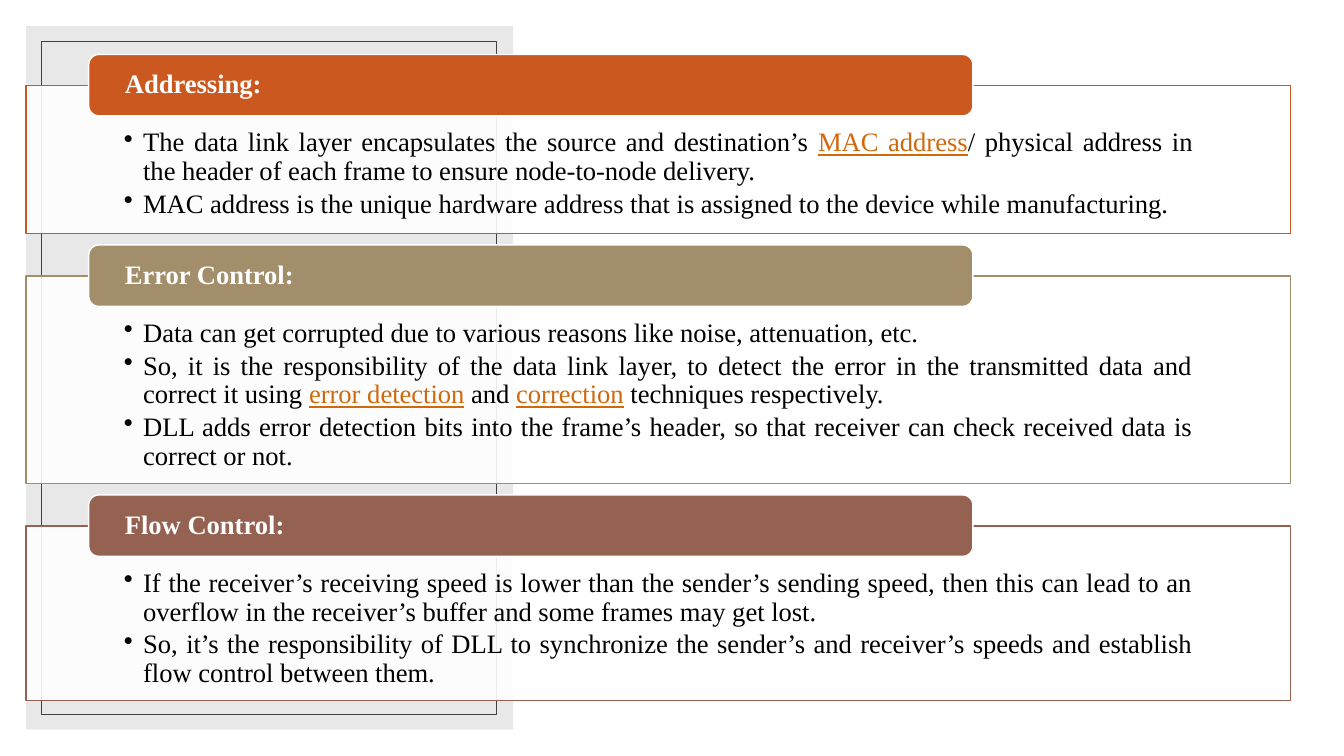
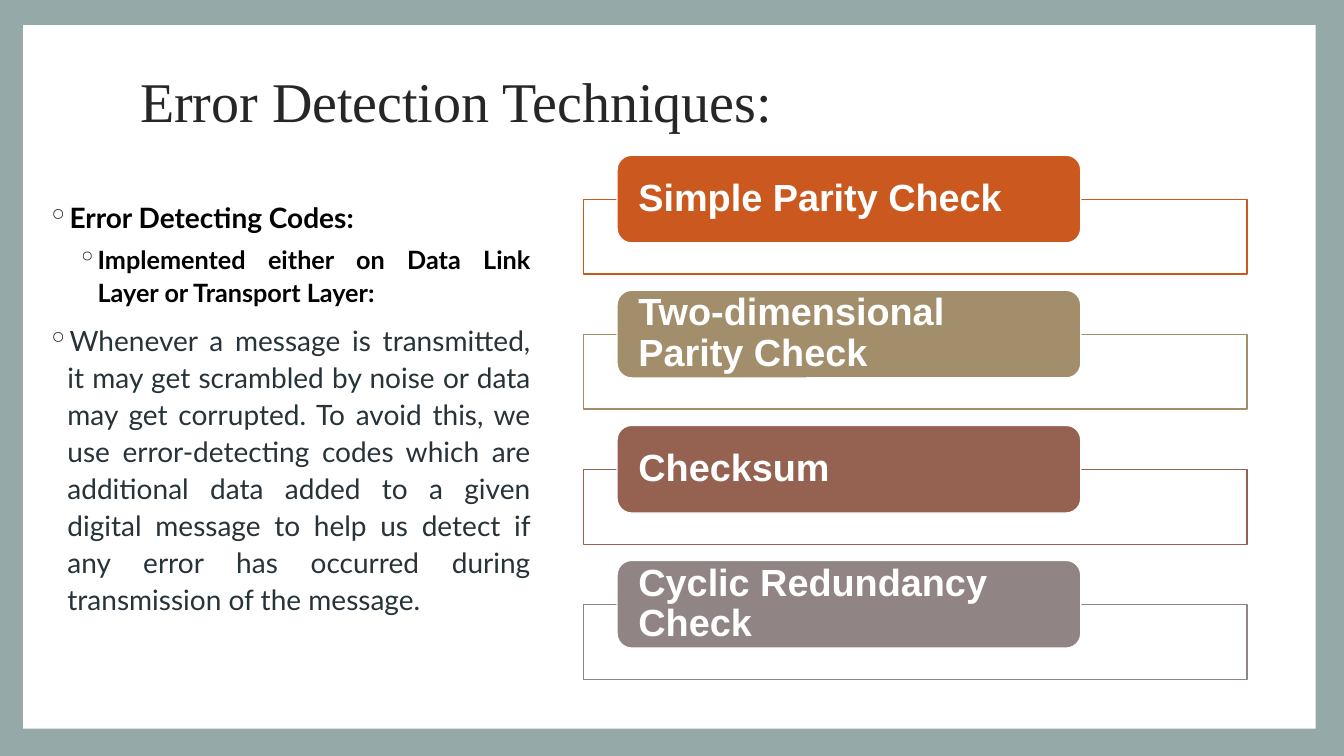
from lxml.etree import SubElement
from pptx import Presentation
from pptx.dml.color import RGBColor
from pptx.enum.shapes import MSO_SHAPE
from pptx.enum.text import MSO_ANCHOR, PP_ALIGN
from pptx.oxml.ns import qn
from pptx.util import Inches, Pt

HUES = {
    "white": "FFFFFF", "black": "000000", "sage": "96A9A9", "gray": "D9D9D9",
    "edge": "404040", "title": "262626", "slate": "273239", "link": "D0690C",
    "orange": "CB581F", "tan": "A28E6A", "brown": "956251", "mauve": "918485",
}
SERIF = {"name": "Times New Roman", "size": Pt(19)}
HEAD = {**SERIF, "bold": True}
LABEL = {"name": "Arial", "size": Pt(27), "bold": True}
TITLE = {"name": "Times New Roman", "size": Pt(40), "bold": False}
STRONG = {"name": "Lato", "size": Pt(20), "bold": True}
MINOR = {**STRONG, "size": Pt(18)}
PLAIN = {**STRONG, "bold": False}
TIGHT = {"alignment": PP_ALIGN.LEFT, "line_spacing": 0.9}
ITEM = {"alignment": PP_ALIGN.JUSTIFY, "line_spacing": 0.9, "space_after": Pt(2.85)}
BODY = {"alignment": PP_ALIGN.JUSTIFY, "line_spacing": 1.1, "space_before": Pt(9)}
SUB = {**BODY, "space_before": Pt(5)}

TOPICS = [
    ("Addressing:", "orange", 1.47, [
        "The data link layer encapsulates the source and destination’s |MAC address|/ physical address in the header of each frame to ensure node-to-node delivery.",
        "MAC address is the unique hardware address that is assigned to the device while manufacturing.",
    ]),
    ("Error Control:", "tan", 2.06, [
        "Data can get corrupted due to various reasons like noise, attenuation, etc.",
        "So, it is the responsibility of the data link layer, to detect the error in the transmitted data and correct it using |error detection| and |correction| techniques respectively.",
        "DLL adds error detection bits into the frame’s header, so that receiver can check received data is correct or not.",
    ]),
    ("Flow Control:", "brown", 1.73, [
        "If the receiver’s receiving speed is lower than the sender’s sending speed, then this can lead to an overflow in the receiver’s buffer and some frames may get lost.",
        "So, it’s the responsibility of DLL to synchronize the sender’s and receiver’s speeds and establish flow control between them.",
    ]),
]
CHECKS = [
    ("Simple Parity Check", "orange"),
    ("Two-dimensional Parity Check", "tan"),
    ("Checksum", "brown"),
    ("Cyclic Redundancy Check", "mauve"),
]
NOTES = [
    ("Error Detecting Codes:", STRONG, "black", BODY, 0.2),
    ("Implemented either on Data Link Layer or Transport Layer:", MINOR, "black", SUB, 0.5),
    ("Whenever a message is transmitted, it may get scrambled by noise or data may get corrupted. To avoid this, we use error-detecting codes which are additional data added to a given digital message to help us detect if any error has occurred during transmission of the message.", PLAIN, "slate", BODY, 0.2),
]


def rgb(hue):
    return RGBColor.from_string(HUES[hue])


def style(thing, form):
    for key, value in form.items():
        setattr(thing, key, value)


def shape(slide, box, fill=None, line=None, width=1, kind=MSO_SHAPE.RECTANGLE, alpha=None):
    item = slide.shapes.add_shape(kind, *map(Inches, box))
    item.shadow.inherit = False
    if fill:
        item.fill.solid()
        item.fill.fore_color.rgb = rgb(fill)
    else:
        item.fill.background()
    if alpha:
        color = item.fill._xPr.find(qn("a:solidFill"))[0]
        SubElement(color, qn("a:alpha"), val=str(alpha * 1000))
    if line:
        item.line.color.rgb = rgb(line)
        item.line.width = Pt(width)
    else:
        item.line.fill.background()
    return item


def inset(frame, side, top=0, low=0):
    style(frame, {
        "margin_left": Inches(side), "margin_right": Inches(side),
        "margin_top": Inches(top), "margin_bottom": Inches(low),
        "word_wrap": True,
    })


def write(para, text, font, hue, form):
    style(para, form)
    for spot, piece in enumerate(text.split("|")):
        run = para.add_run()
        run.text = piece
        style(run.font, font)
        linked = spot % 2 == 1
        run.font.color.rgb = rgb("link" if linked else hue)
        if linked:
            run.font.underline = True


def bullet(para, mark, left, hang, hue):
    props = para._p.get_or_add_pPr()
    props.set("marL", str(Inches(left)))
    props.set("indent", str(-Inches(hang)))
    color = SubElement(props, qn("a:buClr"))
    SubElement(color, qn("a:srgbClr"), val=HUES[hue])
    SubElement(props, qn("a:buChar"), char=mark)


def lines(frame):
    yield frame.paragraphs[0]
    while True:
        yield frame.add_paragraph()


def card(slide, box, hue, label, pill, side, font):
    left, top = box[:2]
    shift, rise, wide, high = pill
    panel = shape(slide, box, "white", hue, alpha=90)
    tab = shape(slide, (left + shift, top - rise, wide, high), hue, "white",
                kind=MSO_SHAPE.ROUNDED_RECTANGLE)
    frame = tab.text_frame
    inset(frame, side)
    frame.vertical_anchor = MSO_ANCHOR.MIDDLE
    write(frame.paragraphs[0], label, font, "white", TIGHT)
    return panel


def topics(slide, left, top, wide, gap):
    for label, hue, high, items in TOPICS:
        panel = card(slide, (left, top, wide, high), hue, label,
                     (0.62, 0.31, 8.77, 0.61), 0.33, HEAD)
        frame = panel.text_frame
        inset(frame, 0.97, 0.43, 0.15)
        frame.vertical_anchor = MSO_ANCHOR.TOP
        for text, para in zip(items, lines(frame)):
            write(para, text, SERIF, "black", ITEM)
            bullet(para, "•", 0.19, 0.19, "black")
        top += high + gap


def checks(slide, left, top, wide, pitch):
    for row, (label, hue) in enumerate(CHECKS):
        card(slide, (left, top + row * pitch, wide, 0.74), hue, label,
             (0.33, 0.44, 4.6, 0.87), 0.17, LABEL)


def notes(slide, box):
    frame = slide.shapes.add_textbox(*map(Inches, box)).text_frame
    inset(frame, 0.1, 0.05, 0.05)
    for (text, font, hue, form, left), para in zip(NOTES, lines(frame)):
        write(para, text, font, hue, form)
        bullet(para, "◦", left, 0.2, "title")


def heading(slide, text, box):
    title = slide.shapes.title
    style(title, dict(zip(("left", "top", "width", "height"), map(Inches, box))))
    title.text_frame.vertical_anchor = MSO_ANCHOR.MIDDLE
    write(title.text_frame.paragraphs[0], text, TITLE, "title", TIGHT)


def start(deck, layout, hue):
    slide = deck.slides.add_slide(deck.slide_layouts[layout])
    slide.background.fill.solid()
    slide.background.fill.fore_color.rgb = rgb(hue)
    return slide


def control(deck):
    slide = start(deck, 6, "white")
    shape(slide, (0.26, 0.26, 4.83, 6.98), "gray", alpha=60)
    shape(slide, (0.41, 0.41, 4.51, 6.68), line="edge", width=0.5)
    topics(slide, 0.26, 0.85, 12.54, 0.42)


def detect(deck):
    slide = start(deck, 5, "sage")
    sheet = shape(slide, (0.23, 0.25, 12.82, 6.98), "white")
    slide.shapes.title._element.addprevious(sheet._element)
    heading(slide, "Error Detection Techniques:", (1.29, 0.42, 10.71, 1.24))
    notes(slide, (0.37, 1.91, 4.99, 4.63))
    checks(slide, 5.79, 1.98, 6.58, 1.34)


def main():
    deck = Presentation()
    deck.slide_width, deck.slide_height = Inches(13.33), Inches(7.5)
    control(deck)
    detect(deck)
    deck.save("out.pptx")


if __name__ == "__main__":
    main()
